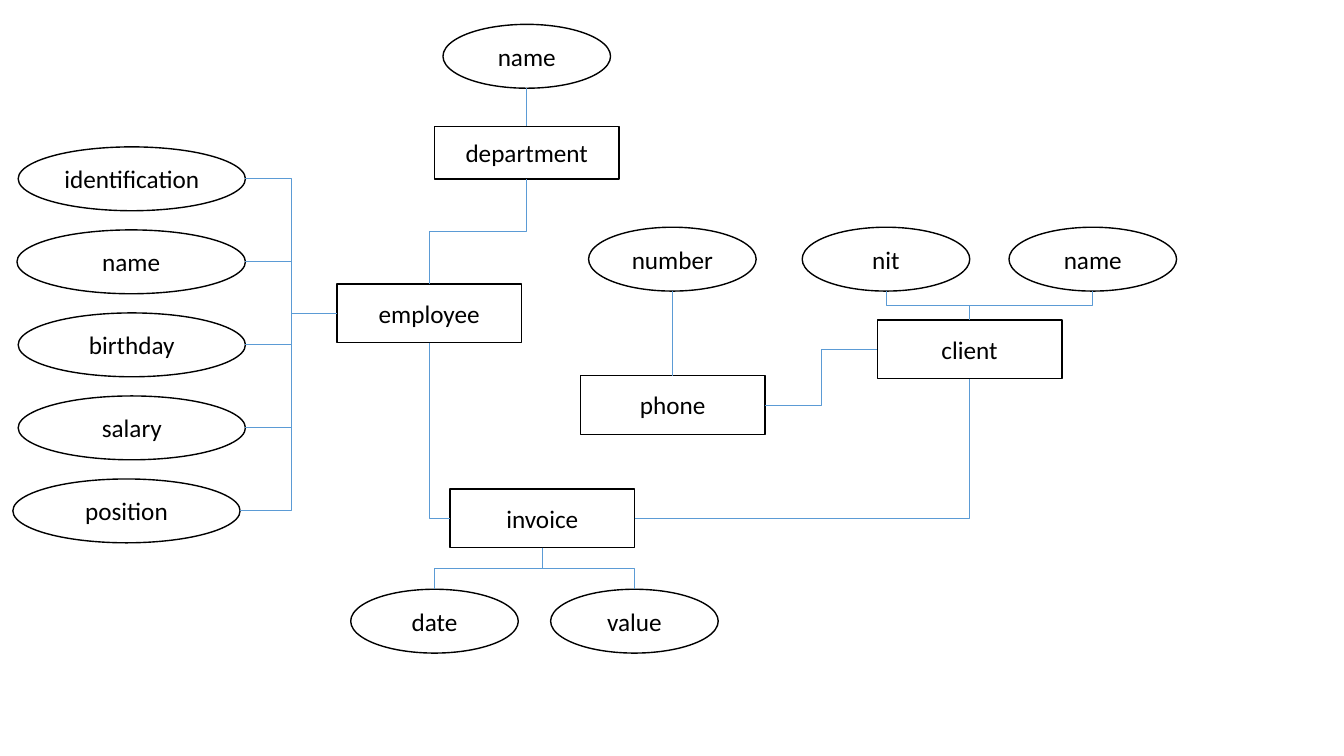
from lxml import etree
from pptx import Presentation
from pptx.dml.color import RGBColor
from pptx.enum.shapes import MSO_CONNECTOR, MSO_SHAPE
from pptx.enum.text import MSO_ANCHOR, PP_ALIGN
from pptx.oxml.ns import qn
from pptx.util import Pt

RECT, OVAL = MSO_SHAPE.RECTANGLE, MSO_SHAPE.OVAL
ELBOW = MSO_CONNECTOR.ELBOW
MIDDLE, CENTER = MSO_ANCHOR.MIDDLE, PP_ALIGN.CENTER

THEME = {
    "font": "Calibri",
    "size": 18,
    "ink": RGBColor(0, 0, 0),
    "link": RGBColor(0x5B, 0x9B, 0xD5),
    "outline": 1,
    "link_width": 0.5,
}
SIDES = {"top": (0.5, 0), "left": (0, 0.5), "bottom": (0.5, 1), "right": (1, 0.5)}

prs = Presentation()
prs.slide_width, prs.slide_height = Pt(960), Pt(540)
s = prs.slides.add_slide(prs.slide_layouts[6])
nodes = {}


def set_text(sp, text, size=THEME["size"], color=THEME["ink"], align=CENTER):
    tf = sp.text_frame
    tf.word_wrap = True
    tf.vertical_anchor = MIDDLE
    p = tf.paragraphs[0]
    p.alignment = align
    r = p.add_run()
    r.text = text
    r.font.name = THEME["font"]
    r.font.size = Pt(size)
    r.font.color.rgb = color


def connect(start, start_side, end, end_side, bend=None):
    ends = []
    for key, side in ((start, start_side), (end, end_side)):
        sp = nodes[key]
        fx, fy = SIDES[side]
        ends.append((sp.left + fx * sp.width, sp.top + fy * sp.height))
    (x1, y1), (x2, y2) = ends
    vertical = start_side in ("top", "bottom")
    if vertical:
        cx, cy, dx, dy = (x1 + x2) / 2, (y1 + y2) / 2, x2 - x1, y2 - y1
        x1, y1, x2, y2 = cx - dy / 2, cy + dx / 2, cx + dy / 2, cy - dx / 2
    c = s.shapes.add_connector(ELBOW, *(round(v) for v in (x1, y1, x2, y2)))
    c.line.color.rgb = THEME["link"]
    c.line.width = Pt(THEME["link_width"])
    spPr = c._element.spPr
    etree.SubElement(spPr, qn("a:effectLst"))
    if vertical:
        spPr.find(qn("a:xfrm")).set("rot", "5400000")
    geom = spPr.find(qn("a:prstGeom"))
    if vertical != (end_side in ("top", "bottom")):
        geom.set("prst", "bentConnector2")
    if bend:
        etree.SubElement(geom.find(qn("a:avLst")), qn("a:gd"),
                         name="adj1", fmla=f"val {round(bend * 100000)}")
    glue = c._element.find(".//" + qn("p:cNvCxnSpPr"))
    for tag, key, side in (("a:stCxn", start, start_side), ("a:endCxn", end, end_side)):
        sp = nodes[key]
        step = 2 if sp.auto_shape_type == OVAL else 1
        etree.SubElement(glue, qn(tag), id=str(sp.shape_id),
                         idx=str(list(SIDES).index(side) * step))


entities = [
    ("employee", 240.6, 202.8, 41.9),
    ("department", 310.3, 90.2, 37.7),
    ("client", 626.6, 228.7, 41.9),
    ("invoice", 321.4, 349.3, 41.9),
    ("phone", 414.6, 268.3, 41.9),
]
attributes = [
    ("department name", 316.4, 17.4),
    ("phone number", 420.4, 162.3),
    ("client nit", 573, 162.3),
    ("client name", 720.7, 162.3),
    ("invoice date", 250.5, 420.9),
    ("invoice value", 393.3, 420.9),
]
employee_attributes = [
    ("employee identification", 13),
    ("employee name", 12.1),
    ("employee birthday", 13),
    ("employee salary", 13),
    ("employee position", 9.2),
]

boxes = [(RECT, key, x, y, 131.9, h) for key, x, y, h in entities]
boxes += [(OVAL, key, x, y, 119.7, 45.6) for key, x, y in attributes]
boxes += [(OVAL, key, x, 104.9 + 59.3 * i, 175.3 - x if x > 10 else 162.3, 45.6)
          for i, (key, x) in enumerate(employee_attributes)]

for kind, key, x, y, w, h in boxes:
    sp = s.shapes.add_shape(kind, Pt(x), Pt(y), Pt(w), Pt(h))
    sp.shadow.inherit = False
    sp.fill.background()
    sp.line.color.rgb = THEME["ink"]
    sp.line.width = Pt(THEME["outline"])
    set_text(sp, key.split()[-1])
    nodes[key] = sp

for key, x in employee_attributes:
    connect(key, "right", "employee", "left", bend=0.53 if x < 10 else None)
for key, x, y in attributes:
    entity = key.split()[0]
    if entity == "invoice":
        connect(entity, "bottom", key, "top")
    else:
        connect(key, "bottom", entity, "top")

connect("department", "bottom", "employee", "top")
connect("employee", "bottom", "invoice", "left")
connect("invoice", "right", "client", "bottom")
connect("phone", "right", "client", "left")

prs.save("out.pptx")
